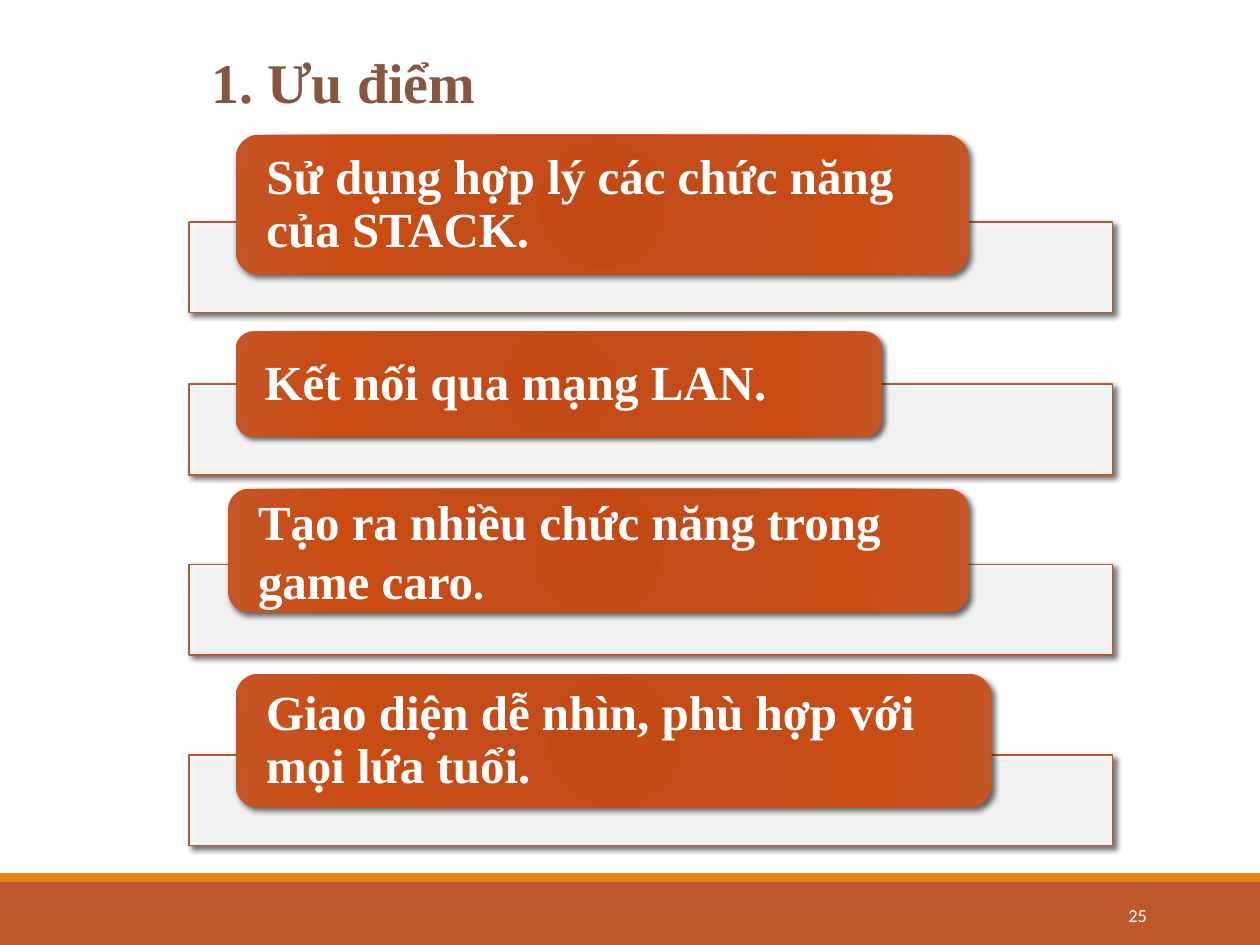
from pptx import Presentation
from pptx.dml.color import RGBColor
from pptx.enum.shapes import MSO_SHAPE
from pptx.enum.text import MSO_ANCHOR, PP_ALIGN
from pptx.oxml import parse_xml
from pptx.oxml.ns import nsdecls
from pptx.util import Inches, Pt

RUST = RGBColor(0xBD, 0x58, 0x2C)
AMBER = RGBColor(0xE4, 0x83, 0x12)
BROWN = RGBColor(0x86, 0x56, 0x40)
WHITE = RGBColor(0xFF, 0xFF, 0xFF)
GRADIENT_STOPS = [
    (0, RGBColor(0xC4, 0x4A, 0x15)),
    (34, RGBColor(0xC3, 0x4C, 0x18)),
    (70, RGBColor(0xC9, 0x4C, 0x15)),
    (100, RGBColor(0xC4, 0x55, 0x25)),
]
SERIF = "Times New Roman"
HEADING = {"name": SERIF, "size": Pt(32), "bold": True}
LABEL = {"name": SERIF, "size": Pt(28), "bold": True}
LABEL_STOP = {**LABEL, "size": Pt(25)}
PAGE_NUMBER = {"name": "Calibri", "size": Pt(10.5)}

ADVANTAGES = [
    (1.76, (1.87, 1.07, 5.82, 1.11), 0.9,
     [("Sử dụng hợp lý các chức năng của STACK.", LABEL)]),
    (3.05, (1.87, 2.63, 5.13, 0.84), 0.9,
     [("Kết nối qua mạng LAN.", LABEL)]),
    (4.48, (1.81, 3.88, 5.88, 0.98), 1.0,
     [("Tạo ra nhiều chức năng trong game caro", LABEL), (".", LABEL_STOP)]),
    (5.99, (1.87, 5.35, 6, 1.06), 0.9,
     [("Giao diện dễ nhìn, phù hợp với mọi lứa tuổi.", LABEL)]),
]


def add_box(slide, kind, box, color):
    """Add a flat filled shape without an outline."""
    shape = slide.shapes.add_shape(kind, *map(Inches, box))
    shape.shadow.inherit = False
    shape.fill.solid()
    shape.fill.fore_color.rgb = color
    shape.line.fill.background()
    return shape


def add_runs(paragraph, runs, color):
    """Add formatted runs of one color to a paragraph."""
    for text, formats in runs:
        run = paragraph.add_run()
        run.text = text
        for name, value in formats.items():
            setattr(run.font, name, value)
        run.font.color.rgb = color


def add_text(slide, box, text, formats, color, **paragraph_formats):
    """Add a wrapping one-paragraph text box and return its frame."""
    frame = slide.shapes.add_textbox(*map(Inches, box)).text_frame
    frame.word_wrap = True
    paragraph = frame.paragraphs[0]
    for name, value in paragraph_formats.items():
        setattr(paragraph, name, value)
    add_runs(paragraph, [(text, formats)], color)
    return frame


def add_shadow(shape):
    """Give a shape a soft shadow towards the lower right."""
    effects = shape._element.spPr.find("{*}effectLst")
    effects.append(parse_xml(
        f'<a:outerShdw {nsdecls("a")} blurRad="{Pt(3)}" dist="{Pt(2)}" '
        'dir="2700000" algn="tl" rotWithShape="0"><a:srgbClr val="000000">'
        '<a:alpha val="60000"/></a:srgbClr></a:outerShdw>'))


def set_radial_gradient(shape):
    """Replace the solid fill of a shape by the radial gradient."""
    stops = "".join(
        f'<a:gs pos="{position * 1000}"><a:srgbClr val="{color}"/></a:gs>'
        for position, color in GRADIENT_STOPS)
    gradient = parse_xml(
        f'<a:gradFill {nsdecls("a")} rotWithShape="1"><a:gsLst>{stops}</a:gsLst>'
        '<a:path path="circle"><a:fillToRect l="100000" t="100000" '
        'r="100000" b="100000"/></a:path></a:gradFill>')
    properties = shape._element.spPr
    properties.replace(properties.find("{*}solidFill"), gradient)


def add_bar(slide, top):
    """Add the translucent outlined bar behind a label."""
    bar = add_box(slide, MSO_SHAPE.RECTANGLE, (1.5, top, 7.33, 0.72), WHITE)
    color = bar._element.spPr.find("{*}solidFill")[0]
    color.append(parse_xml(f'<a:alpha {nsdecls("a")} val="90000"/>'))
    bar.line.color.rgb = RUST
    bar.line.width = Pt(1)
    add_shadow(bar)


def add_label(slide, box, line_spacing, runs):
    """Add a rounded gradient label with its text."""
    label = add_box(slide, MSO_SHAPE.ROUNDED_RECTANGLE, box, RUST)
    set_radial_gradient(label)
    add_shadow(label)
    frame = label.text_frame
    frame_formats = {
        "word_wrap": True, "vertical_anchor": MSO_ANCHOR.MIDDLE,
        "margin_left": Inches(0.19), "margin_right": Inches(0.19),
        "margin_top": 0, "margin_bottom": 0,
    }
    for name, value in frame_formats.items():
        setattr(frame, name, value)
    paragraph = frame.paragraphs[0]
    paragraph.alignment = PP_ALIGN.LEFT
    paragraph.line_spacing = line_spacing
    add_runs(paragraph, runs, WHITE)


def main():
    """Build and save the slide."""
    presentation = Presentation()
    presentation.slide_width = Inches(10)
    presentation.slide_height = Inches(7.5)
    slide = presentation.slides.add_slide(presentation.slide_layouts[6])
    add_box(slide, MSO_SHAPE.RECTANGLE, (0, 7, 10, 0.5), RUST)
    add_box(slide, MSO_SHAPE.RECTANGLE, (0, 6.93, 10, 0.07), AMBER)
    add_text(slide, (1.58, 0.33, 4.83, 0.64), "1. Ưu điểm", HEADING, BROWN)
    for bar_top, label_box, line_spacing, runs in ADVANTAGES:
        add_bar(slide, bar_top)
        add_label(slide, label_box, line_spacing, runs)
    number = add_text(slide, (8.12, 7.06, 1.08, 0.4), "25", PAGE_NUMBER, WHITE,
                      alignment=PP_ALIGN.RIGHT)
    number.vertical_anchor = MSO_ANCHOR.MIDDLE
    presentation.save("out.pptx")


if __name__ == "__main__":
    main()
